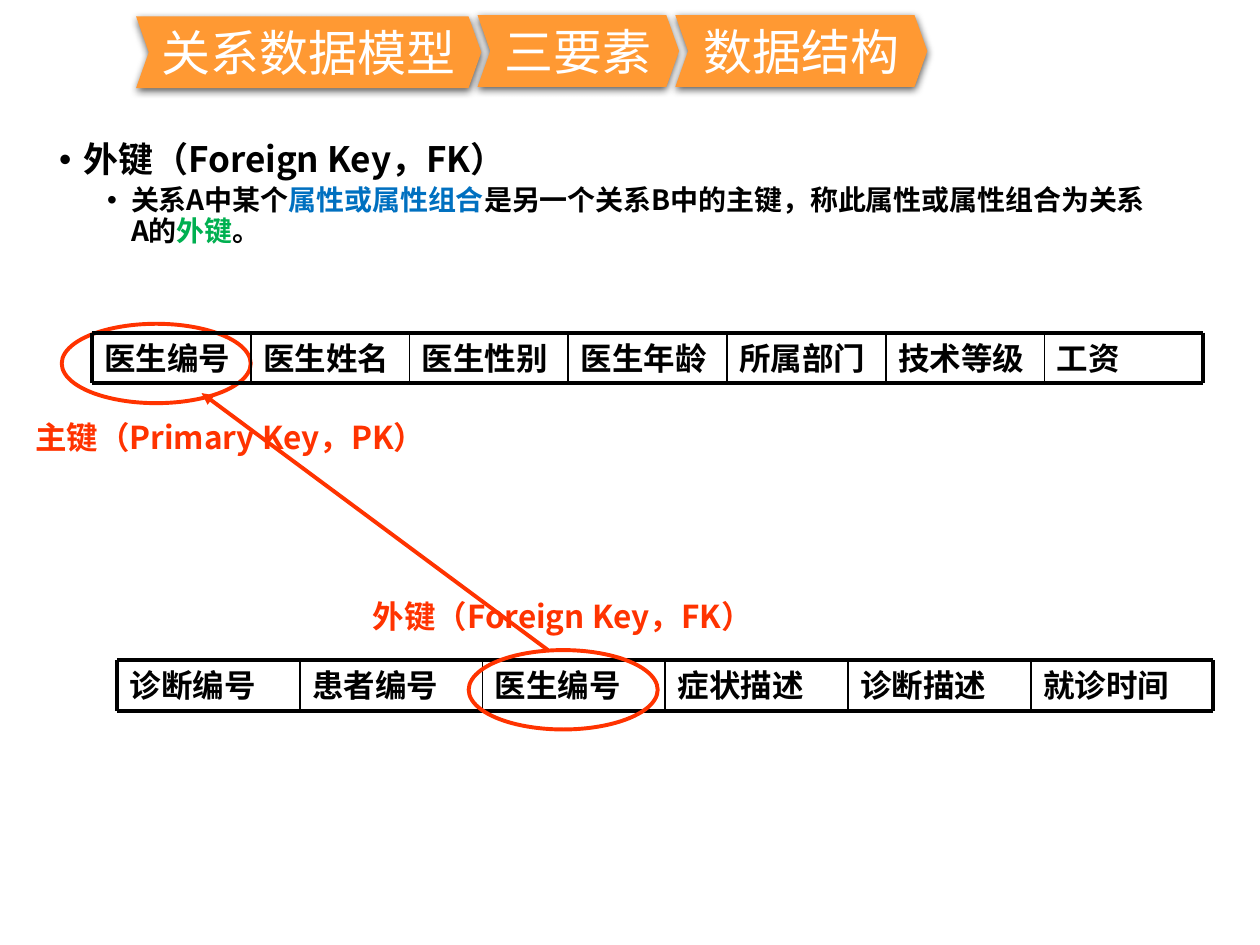
from lxml import etree
from pptx import Presentation
from pptx.dml.color import RGBColor
from pptx.enum import shapes, text
from pptx.oxml import parse_xml
from pptx.oxml.ns import nsdecls, qn
from pptx.util import Inches, Pt

FONT = "Noto Sans CJK SC"
COLORS = {"black": "000000", "white": "FFFFFF", "orange": "FF9933",
          "red": "FF3300", "blue": "0070C0", "green": "00B050"}
ROW_HEIGHT = 0.4
DOCTOR_FIELDS = ["医生编号", "医生姓名", "医生性别", "医生年龄", "所属部门", "技术等级", "工资"]
DIAGNOSIS_FIELDS = ["诊断编号", "患者编号", "医生编号", "症状描述", "诊断描述", "就诊时间"]


def rgb(name):
    return RGBColor.from_string(COLORS[name])


def add_run(p, content, size=18, color="black", bold=True):
    r = p.add_run()
    r.text = content
    r.font.size = Pt(size)
    r.font.bold = bold
    r.font.color.rgb = rgb(color)
    r.font.name = FONT
    ea = etree.SubElement(r.font._element, qn("a:ea"))
    ea.set("typeface", FONT)


def add_label(s, content, x, y, width, **fmt):
    sp = s.shapes.add_textbox(Inches(x), Inches(y), Inches(width), Inches(ROW_HEIGHT))
    sp.text_frame.word_wrap = True
    add_run(sp.text_frame.paragraphs[0], content, **fmt)


def add_line(s, x1, y1, x2, y2, width=2.25, color="black", arrow=False):
    line = s.shapes.add_connector(shapes.MSO_CONNECTOR.STRAIGHT,
                                  Inches(x1), Inches(y1), Inches(x2), Inches(y2))
    line.line.width = Pt(width)
    line.line.color.rgb = rgb(color)
    if arrow:
        etree.SubElement(line.line._get_or_add_ln(), qn("a:tailEnd")).set("type", "triangle")
    etree.SubElement(line._element.spPr, qn("a:effectLst"))


def add_chevron(s, content, x, y, width):
    sp = s.shapes.add_shape(shapes.MSO_SHAPE.CHEVRON,
                            Inches(x), Inches(y), Inches(width), Inches(0.57))
    sp.adjustments[0] = 0.178
    sp.fill.solid()
    sp.fill.fore_color.rgb = rgb("orange")
    sp.line.fill.background()
    sp._element.spPr.append(parse_xml(
        f'<a:effectLst {nsdecls("a")}>'
        f'<a:outerShdw blurRad="{Pt(4.5)}" dist="{Pt(1.5)}" dir="5400000" rotWithShape="0">'
        '<a:srgbClr val="000000"><a:alpha val="63000"/></a:srgbClr>'
        '</a:outerShdw></a:effectLst>'))
    tf = sp.text_frame
    tf.word_wrap = False
    tf.vertical_anchor = text.MSO_ANCHOR.MIDDLE
    tf.paragraphs[0].alignment = text.PP_ALIGN.CENTER
    add_run(tf.paragraphs[0], content, size=28, color="white", bold=False)


def add_key_ring(s, x, y):
    sp = s.shapes.add_shape(shapes.MSO_SHAPE.OVAL,
                            Inches(x), Inches(y), Inches(1.5), Inches(0.63))
    sp.shadow.inherit = False
    sp.fill.background()
    sp.line.color.rgb = rgb("red")
    sp.line.width = Pt(2.25)


def add_relation(s, fields, x, y, width):
    """Draw a relation schema as one row of fields with thin dividers and a thick frame."""
    right, bottom = x + width * len(fields), y + ROW_HEIGHT
    for i, field in enumerate(fields):
        add_label(s, field, x + i * width, y, width)
    for i in range(1, len(fields)):
        add_line(s, x + i * width, y, x + i * width, bottom, width=1)
    for edge in (x, right):
        add_line(s, edge, y, edge, bottom)
    for edge in (y, bottom):
        add_line(s, x, edge, right, edge)


def add_bullet(p, level, margin, runs, size, before=0):
    p.level = level
    pPr = p._p.get_or_add_pPr()
    pPr.set("marL", str(Inches(margin)))
    pPr.set("indent", str(Inches(-0.19)))
    p.line_spacing = 0.9
    p.space_before = Pt(before)
    etree.SubElement(pPr, qn("a:buFont")).set("typeface", "Arial")
    etree.SubElement(pPr, qn("a:buChar")).set("char", "•")
    for content, color in runs:
        add_run(p, content, size=size, color=color)


def fill_definition(body):
    body.left, body.top, body.width, body.height = map(Inches, (0, 1.08, 9.21, 6.21))
    tf = body.text_frame
    tf.word_wrap = True
    tf.auto_size = text.MSO_AUTO_SIZE.NONE
    add_bullet(tf.paragraphs[0], 1, 0.56, [("外键（Foreign Key，FK）", "black")], 20)
    add_bullet(tf.add_paragraph(), 2, 0.94, [
        ("关系A中某个", "black"),
        ("属性或属性组合", "blue"),
        ("是另一个关系B中的主键，称此属性或属性组合为关系A的", "black"),
        ("外键", "green"),
        ("。", "black")], 16, before=3.8)


def main():
    prs = Presentation()
    prs.slide_width, prs.slide_height = Inches(10), Inches(7.5)
    s = prs.slides.add_slide(prs.slide_layouts[1])
    title = s.shapes.title._element
    title.getparent().remove(title)
    fill_definition(s.placeholders[1])

    add_chevron(s, "关系数据模型", 1.08, 0.13, 2.74)
    add_chevron(s, "三要素", 3.79, 0.12, 1.6)
    add_chevron(s, "数据结构", 5.36, 0.12, 2)

    add_relation(s, DIAGNOSIS_FIELDS, 0.93, 5.24, 1.45)
    add_key_ring(s, 3.72, 5.16)
    add_key_ring(s, 0.49, 2.57)
    add_line(s, 4.35, 5.16, 1.6, 3.12, color="red", arrow=True)
    add_relation(s, DOCTOR_FIELDS, 0.73, 2.64, 1.26)
    add_label(s, "主键（Primary Key，PK）", 0.18, 3.27, 3.62, color="red")
    add_label(s, "外键（Foreign Key，FK）", 2.86, 4.69, 3.62, color="red")
    prs.save("out.pptx")


if __name__ == "__main__":
    main()
